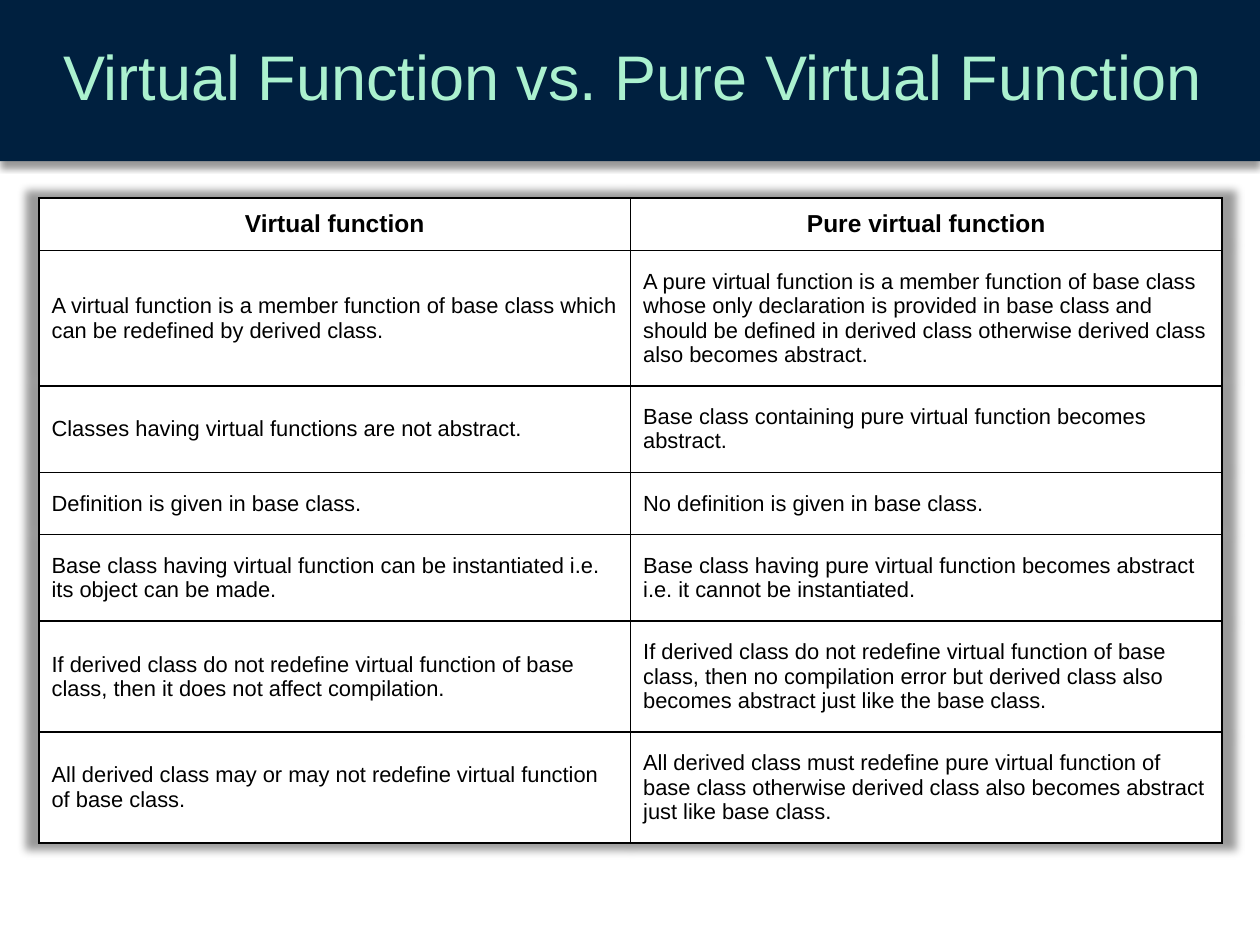
import pptx
import pptx.util
import pptx.dml.color
import pptx.enum.shapes
import pptx.enum.text
import pptx.oxml
import pptx.oxml.ns
from pptx.util import Inches

ALIGN = pptx.enum.text.PP_ALIGN
MIDDLE = pptx.enum.text.MSO_ANCHOR.MIDDLE
NAMESPACE = pptx.oxml.ns.nsdecls("a")
NO_STYLE_ID = "{2D5ABB26-0587-4C30-8999-92F81FD0307C}"

ROWS = [
    ("Virtual function", "Pure virtual function"),
    ("A virtual function is a member function of base class which can be redefined by derived class.",
     "A pure virtual function is a member function of base class whose only declaration is provided "
     "in base class and should be defined in derived class otherwise derived class also becomes abstract."),
    ("Classes having virtual functions are not abstract.",
     "Base class containing pure virtual function becomes abstract."),
    ("Definition is given in base class.", "No definition is given in base class."),
    ("Base class having virtual function can be instantiated i.e. its object can be made.",
     "Base class having pure virtual function becomes abstract i.e. it cannot be instantiated."),
    ("If derived class do not redefine virtual function of base class, then it does not affect compilation.",
     "If derived class do not redefine virtual function of base class, then no compilation error "
     "but derived class also becomes abstract just like the base class."),
    ("All derived class may or may not redefine virtual function of base class.",
     "All derived class must redefine pure virtual function of base class otherwise derived class "
     "also becomes abstract just like base class."),
]


def color(value):
    return pptx.dml.color.RGBColor.from_string(value)


def write_text(frame, text, size, text_color="000000", font="Arial", bold=False,
               align=ALIGN.LEFT, line_spacing=None):
    frame.word_wrap = True
    paragraph = frame.paragraphs[0]
    paragraph.alignment = align
    paragraph.line_spacing = line_spacing
    run = paragraph.add_run()
    run.text = text
    run.font.name = font
    run.font.size = pptx.util.Pt(size)
    run.font.bold = bold
    run.font.color.rgb = color(text_color)


def shadow_effect(blur, distance, scale=100, align="t"):
    return pptx.oxml.parse_xml(
        f'<a:effectLst {NAMESPACE}><a:outerShdw blurRad="{pptx.util.Pt(blur)}" '
        f'dist="{pptx.util.Pt(distance)}" dir="5400000" sx="{scale * 1000}" sy="{scale * 1000}" '
        f'algn="{align}" rotWithShape="0"><a:srgbClr val="000000"><a:alpha val="40000"/>'
        '</a:srgbClr></a:outerShdw></a:effectLst>')


class SlideBuilder:
    band_color = "00203F"
    title_color = "ABF1CF"
    cell_color = "FFFFFF"
    border_color = "000000"
    band_height = Inches(1.28)

    def __init__(self, presentation):
        self.slide = presentation.slides.add_slide(presentation.slide_layouts[5])

    def band(self, width):
        shape = self.slide.shapes.add_shape(
            pptx.enum.shapes.MSO_SHAPE.RECTANGLE, 0, 0, width, self.band_height)
        shape.fill.solid()
        shape.fill.fore_color.rgb = color(self.band_color)
        shape.line.fill.background()
        shape._element.spPr.append(shadow_effect(4, 3))
        self.slide.shapes._spTree.insert(2, shape._element)

    def title(self, text):
        title = self.slide.shapes.title
        title.left, title.top = Inches(0.4), Inches(0)
        title.width, title.height = Inches(9.6), self.band_height
        title.text_frame.vertical_anchor = MIDDLE
        title.text_frame.auto_size = pptx.enum.text.MSO_AUTO_SIZE.NONE
        write_text(title.text_frame, text, 36, self.title_color, line_spacing=0.9)

    def cell(self, cell, text, is_header):
        cell.vertical_anchor = MIDDLE
        cell.margin_left = cell.margin_right = Inches(0.1)
        cell.margin_top = cell.margin_bottom = Inches(0.1 if is_header else 0.15)
        cell.fill.solid()
        cell.fill.fore_color.rgb = color(self.cell_color)
        properties = cell._tc.get_or_add_tcPr()
        for index, side in enumerate(("lnL", "lnR", "lnT", "lnB")):
            properties.insert(index, pptx.oxml.parse_xml(
                f'<a:{side} {NAMESPACE} w="{pptx.util.Pt(1)}"><a:solidFill>'
                f'<a:srgbClr val="{self.border_color}"/></a:solidFill></a:{side}>'))
        write_text(cell.text_frame, text, 14 if is_header else 12.5, bold=is_header,
                   align=ALIGN.CENTER if is_header else ALIGN.LEFT)

    def table(self, rows, left, top, width, row_height):
        table = self.slide.shapes.add_table(
            len(rows), len(rows[0]), left, top, width, row_height * len(rows)).table
        table.horz_banding = False
        properties = table._tbl.tblPr
        properties.find(pptx.oxml.ns.qn("a:tableStyleId")).text = NO_STYLE_ID
        properties.insert(0, shadow_effect(5, 0, scale=102, align="ctr"))
        for row_index, row in enumerate(rows):
            table.rows[row_index].height = row_height
            for column_index, text in enumerate(row):
                self.cell(table.cell(row_index, column_index), text, row_index == 0)


def main():
    presentation = pptx.Presentation()
    presentation.slide_width, presentation.slide_height = Inches(10), Inches(7.5)
    builder = SlideBuilder(presentation)
    builder.band(presentation.slide_width)
    builder.title("Virtual Function vs. Pure Virtual Function")
    builder.table(ROWS, Inches(0.31), Inches(1.57), Inches(9.39), Inches(0.41))
    presentation.save("out.pptx")


if __name__ == "__main__":
    main()
